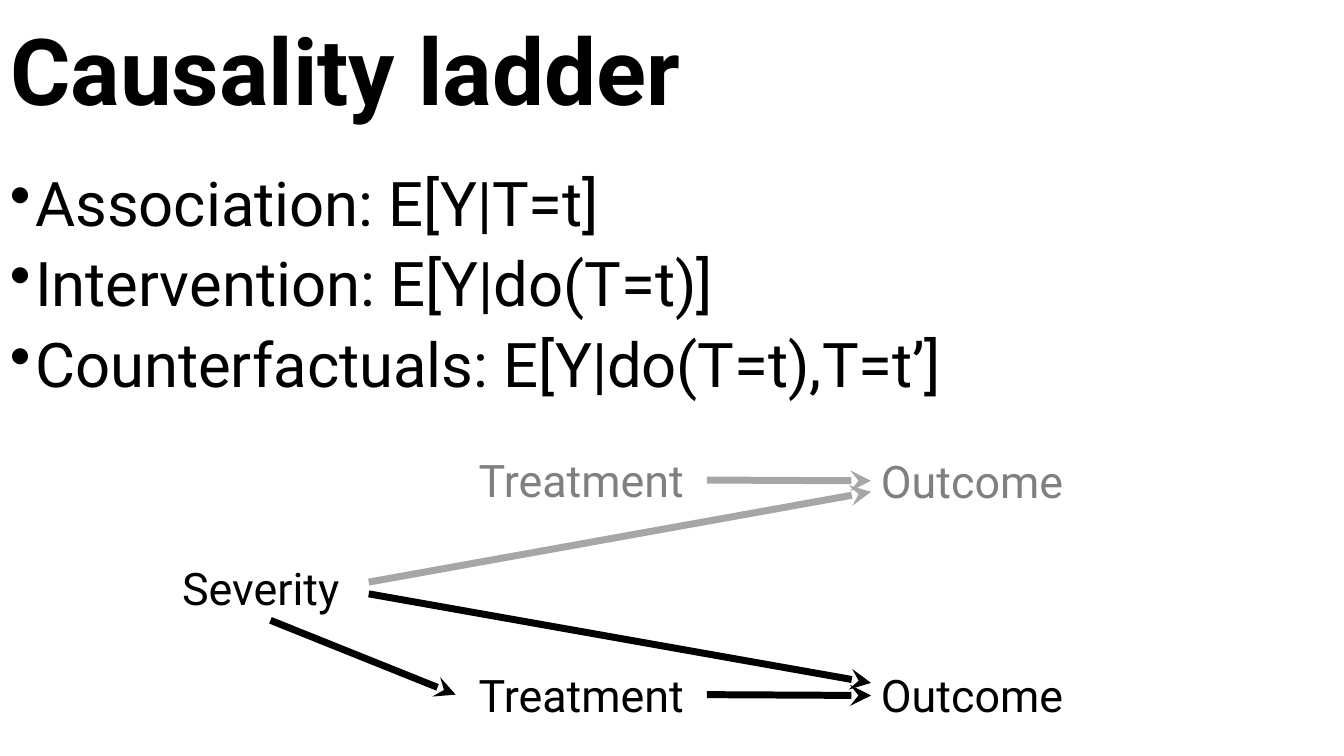
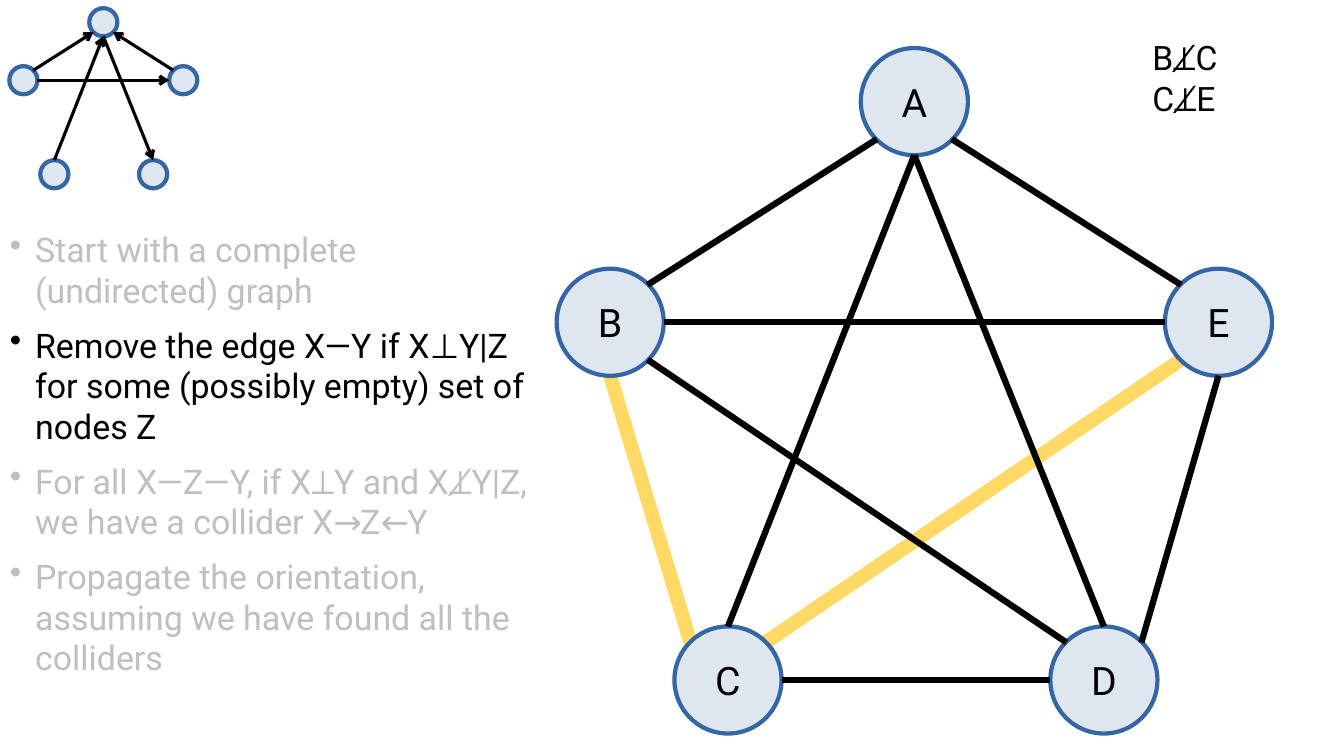
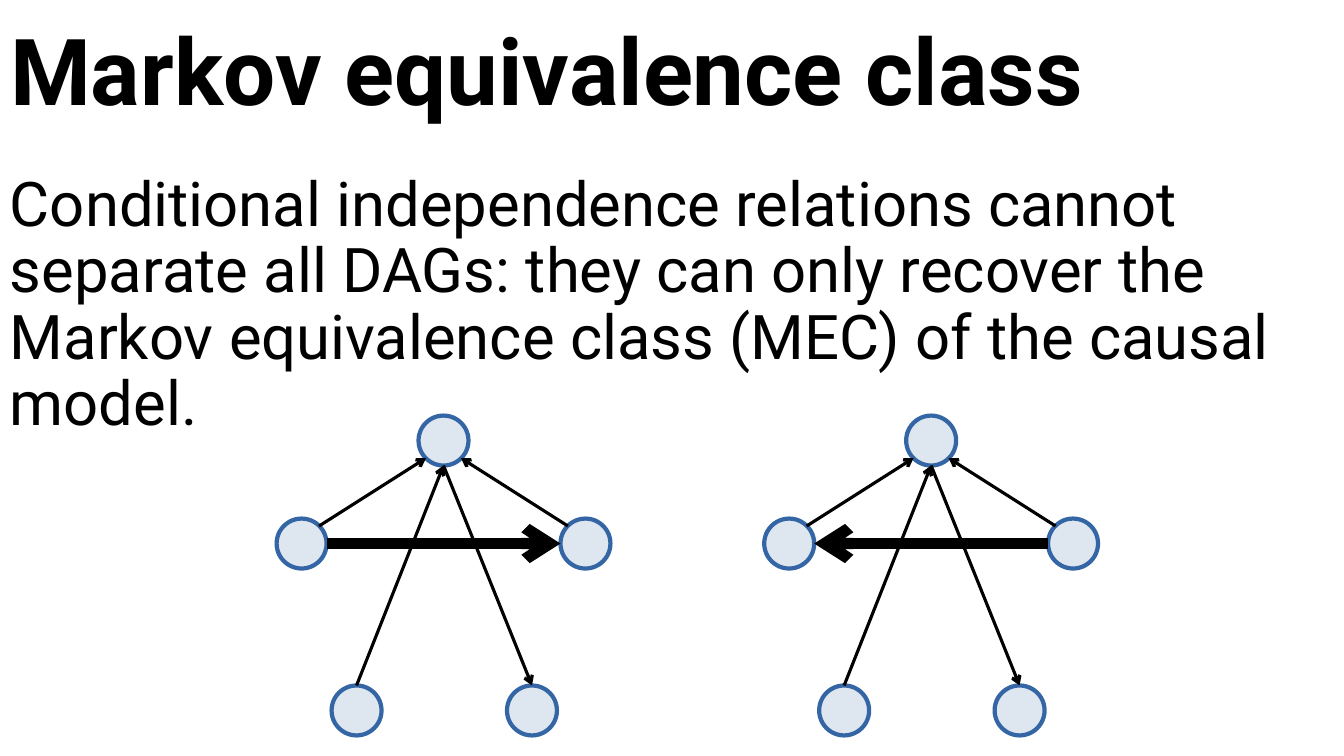
from lxml import etree
from pptx import Presentation
from pptx import util as u
from pptx.dml.color import RGBColor
from pptx.enum import shapes, text
from pptx.oxml.ns import qn

BLACK = RGBColor(0x00, 0x00, 0x00)
GREY = RGBColor(0x80, 0x80, 0x80)
MID_GREY = RGBColor(0xA6, 0xA6, 0xA6)
PALE_GREY = RGBColor(0xBF, 0xBF, 0xBF)
YELLOW = RGBColor(0xFF, 0xD9, 0x66)
NODE_FILL = RGBColor(0xDE, 0xE6, 0xEF)
NODE_LINE = RGBColor(0x34, 0x65, 0xA4)

# The grid has 32 columns and 18 rows of square cells
COLS, ROWS = 32, 18
CELL = u.Inches(7.5) // ROWS

# Node centres relative to A, in node diameters
NODES = {"A": (0, 0), "E": (2.84, 2.06), "B": (-2.84, 2.06),
         "C": (-1.74, 5.4), "D": (1.77, 5.4)}
# Points on a node's rim, in diameters from its centre
RIM = {"n": (0, -0.5), "s": (0, 0.5), "w": (-0.5, 0), "e": (0.5, 0),
       "nw": (-0.35, -0.35), "ne": (0.35, -0.35),
       "sw": (-0.35, 0.35), "se": (0.35, 0.35)}
# Rim points at which each edge leaves and arrives
ROUTES = {"BE": ("e", "w"), "EB": ("w", "e"), "BA": ("ne", "sw"),
          "EA": ("nw", "se"), "CA": ("n", "s"), "AD": ("s", "n"),
          "CD": ("e", "w"), "DE": ("ne", "s"), "DB": ("nw", "se"),
          "CB": ("nw", "s"), "CE": ("ne", "sw")}
ARROWS = ("BA", "EA", "CA", "AD")


class Deck:
    font = "Roboto"

    def __init__(self):
        self.prs = Presentation()
        self.prs.slide_width = COLS * CELL
        self.prs.slide_height = ROWS * CELL
        self.s = None

    def box(self, *cells):
        return [u.Emu(round(c * CELL)) for c in cells]

    def slide(self, title=None):
        layout = self.prs.slide_layouts[5 if title else 6]
        self.s = self.prs.slides.add_slide(layout)
        if title:
            sp = self.s.shapes.title
            sp.left, sp.top, sp.width, sp.height = self.box(0, 0.05, COLS, 3.48)
            self.fill_text(sp.text_frame, [title], 66, bold=True, spacing=0.9,
                           anchor=text.MSO_ANCHOR.MIDDLE)

    def fill_text(self, tf, lines, size, color=BLACK, bold=False, bullet=False,
                  align=text.PP_ALIGN.LEFT, spacing=1.0, before=0,
                  anchor=text.MSO_ANCHOR.TOP):
        frame = dict(word_wrap=True, auto_size=text.MSO_AUTO_SIZE.NONE,
                     vertical_anchor=anchor)
        for name, value in frame.items():
            setattr(tf, name, value)
        for i, line in enumerate(lines):
            words, ink = line if isinstance(line, tuple) else (line, color)
            p = tf.add_paragraph() if i else tf.paragraphs[0]
            if bullet:
                pPr = p._p.get_or_add_pPr()
                pPr.set("marL", str(u.Inches(0.25)))
                pPr.set("indent", str(-u.Inches(0.25)))
                etree.SubElement(pPr, qn("a:buChar")).set("char", "•")
            layout = dict(alignment=align, line_spacing=spacing,
                          space_before=u.Pt(before if i else 0))
            for name, value in layout.items():
                setattr(p, name, value)
            r = p.add_run()
            r.text = words
            for name, value in dict(name=self.font, size=u.Pt(size), bold=bold).items():
                setattr(r.font, name, value)
            r.font.color.rgb = ink

    def text(self, at, lines, size, **style):
        sp = self.s.shapes.add_textbox(*self.box(*at))
        self.fill_text(sp.text_frame, lines, size, **style)
        return sp

    def line(self, start=(0, 0), end=(0, 0), color=BLACK, width=5, head=None, join=None):
        """Draw a line between points, or join two (shape, side) pairs."""
        c = self.s.shapes.add_connector(shapes.MSO_CONNECTOR.STRAIGHT,
                                        *self.box(*start, *end))
        if join:
            c.begin_connect(*join[0])
            c.end_connect(*join[1])
        c.line.color.rgb = color
        c.line.width = u.Pt(width)
        if head:
            etree.SubElement(c.line._get_or_add_ln(), qn("a:tailEnd")).set("type", head)
        etree.SubElement(c._element.spPr, qn("a:effectLst"))

    def node(self, x, y, d, label):
        sp = self.s.shapes.add_shape(shapes.MSO_SHAPE.OVAL,
                                     *self.box(x - d / 2, y - d / 2, d, d))
        sp.shadow.inherit = False
        sp.fill.solid()
        sp.fill.fore_color.rgb = NODE_FILL
        sp.line.color.rgb = NODE_LINE
        sp.line.width = u.Pt(3)
        if label:
            self.fill_text(sp.text_frame, [label], 28, align=text.PP_ALIGN.CENTER,
                           anchor=text.MSO_ANCHOR.MIDDLE)

    def graph(self, x, y, d, edges, marked=(), labels=False, **style):
        """Draw the five nodes with A at x, y; marked edges lie beneath."""
        def rim(name, side):
            return [o + d * (n + k) for o, n, k in zip((x, y), NODES[name], RIM[side])]

        def draw(pairs, **look):
            for pair in pairs:
                start, end = map(rim, pair, ROUTES[pair])
                self.line(start, end, **look)

        draw(marked, color=YELLOW, width=10)
        for name, (dx, dy) in NODES.items():
            self.node(x + d * dx, y + d * dy, d, name if labels else "")
        if "heavy" in style:
            draw([style.pop("heavy")], width=8, head="arrow")
        draw(edges, **style)


def ladder(deck):
    deck.slide("Causality ladder")
    deck.text((0, 4, COLS, 5.66),
              ["Association: E[Y|T=t]", "Intervention: E[Y|do(T=t)]",
               "Counterfactuals: E[Y|do(T=t),T=t’]"],
              44, bullet=True, spacing=0.9, before=10)

    # Two worlds that share one severity
    height, middle = 1.54, 14
    severity = deck.text((4.1, middle - height / 2, 4.68, height), ["Severity"], 32)
    worlds = ((10.66, 1, GREY, MID_GREY), (15.77, -1, BLACK, BLACK))
    for top, sign, ink, stroke in worlds:
        treatment = deck.text((10.85, top, 5.98, height), ["Treatment"], 32, color=ink,
                              align=text.PP_ALIGN.CENTER)
        outcome = deck.text((20.74, top + 0.02, 5.18, height), ["Outcome"], 32, color=ink)
        deck.line(join=((treatment, 3), (outcome, 1)), color=stroke, head="stealth")
        deck.line((8.78, middle - 0.14 * sign),
                  (20.74, top + height / 2 + 0.28 * sign), color=stroke, head="stealth")
    deck.line(join=((severity, 2), (treatment, 1)), head="stealth")


def discovery(deck):
    deck.slide()
    # Large undirected graph and small directed one
    deck.graph(21.77, 2.42, 2.55, ("BE", "BA", "EA", "CA", "AD", "CD", "DE", "DB"),
               marked=("CB", "CE"), labels=True, width=4.5)
    deck.graph(2.46, 0.53, 0.67, ("BE",) + ARROWS, width=2.25, head="arrow")

    # Dependences and steps
    deck.text((27.2, 0.77, 4.77, 4.8), ["B⟂̸C", "C⟂̸E"], 24)
    deck.text((0, 5.33, 12.91, 12.62),
              ["Start with a complete (undirected) graph",
               ("Remove the edge X—Y if X⊥Y|Z for some (possibly empty) set of nodes Z", BLACK),
               "For all X—Z—Y, if X⟂Y and X⟂̸Y|Z, we have a collider X→Z←Y",
               "Propagate the orientation, assuming we have found all the colliders"],
              24.2, color=PALE_GREY, bullet=True, before=10)


def equivalence(deck):
    deck.slide("Markov equivalence class")
    deck.text((0, 4, COLS, 13.94),
              ["Conditional independence relations cannot separate all DAGs: they can only "
               "recover the Markov equivalence class (MEC) of the causal model."],
              44, spacing=0.9)
    # Two graphs that differ in one arrow
    for x, heavy in ((10.56, "BE"), (22.17, "EB")):
        deck.graph(x, 10.49, 1.19, ARROWS, heavy=heavy, width=2.25, head="arrow")


def main():
    deck = Deck()
    for build in (ladder, discovery, equivalence):
        build(deck)
    deck.prs.save("out.pptx")


if __name__ == "__main__":
    main()
